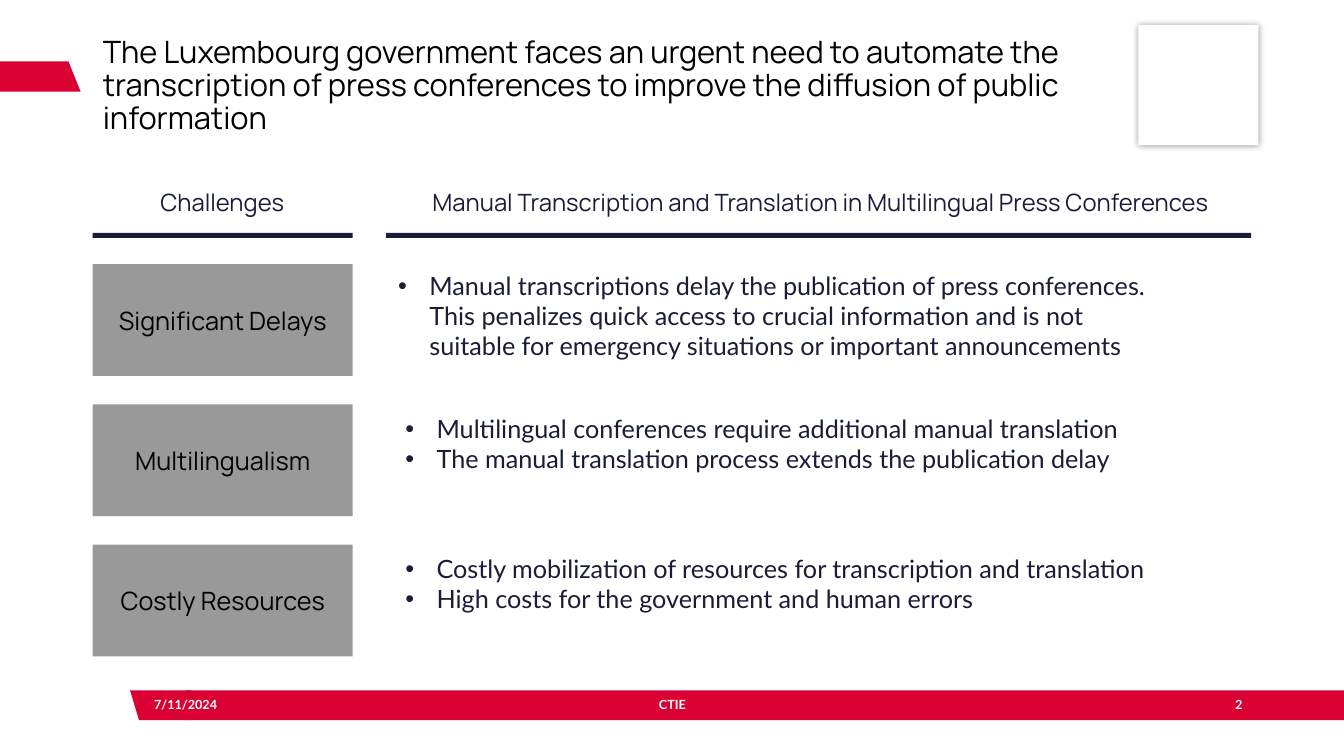
"""Build the slide on the challenges of transcribing press conferences."""
from dataclasses import dataclass

from lxml import etree
from pptx import Presentation, util as u
from pptx.dml.color import RGBColor
from pptx.enum import shapes, text
from pptx.oxml import ns

WIDTH, HEIGHT = u.Inches(13.33), u.Inches(7.5)
RED = RGBColor(0xDB, 0x00, 0x32)
NAVY = RGBColor(0x19, 0x1D, 0x38)
GREY = RGBColor(0x99, 0x99, 0x99)
BLACK = RGBColor(0x00, 0x00, 0x00)
WHITE = RGBColor(0xFF, 0xFF, 0xFF)
LEFT, CENTER, RIGHT = text.PP_ALIGN.LEFT, text.PP_ALIGN.CENTER, text.PP_ALIGN.RIGHT
MIDDLE, TOP = text.MSO_ANCHOR.MIDDLE, text.MSO_ANCHOR.TOP
CARD_TOP, CARD_STEP = 34.93, 18.55
RULE_TOP, HEADING_TOP, FOOTER_TOP = 30.8, 24.27, 90.53


@dataclass(frozen=True)
class Area:
    """Place on a grid of 100 columns by 100 rows."""
    left: float
    top: float
    width: float
    height: float


@dataclass(frozen=True)
class Style:
    """Look of a block of text."""
    font: str
    size: float
    color: RGBColor
    align: text.PP_ALIGN = LEFT
    anchor: text.MSO_ANCHOR = MIDDLE
    bold: bool = False
    line_spacing: float = 1.0


@dataclass(frozen=True)
class Challenge:
    """A named challenge and the bullets beside it."""
    name: str
    bullets: tuple[str, ...]
    area: Area


@dataclass(frozen=True)
class Label:
    """A line of text in its place."""
    wording: str
    area: Area
    style: Style


TITLE = Style("Manrope", 22, BLACK, line_spacing=0.9)
HEADING = Style("Manrope", 17, NAVY, CENTER, line_spacing=0.9)
CARD = Style("Manrope", 18, BLACK, CENTER)
BULLETS = Style("Lato", 18, NAVY, anchor=TOP)

CHALLENGES = (
    Challenge("Significant Delays", (
        "Manual transcriptions delay the publication of press conferences. This penalizes quick "
        "access to crucial information and is not suitable for emergency situations or important "
        "announcements",), Area(28.88, 35.07, 58.44, 17.47)),
    Challenge("Multilingualism", (
        "Multilingual conferences require additional manual translation",
        "The manual translation process extends the publication delay"),
        Area(29.41, 54, 58.44, 13.47)),
    Challenge("Costly Resources", (
        "Costly mobilization of resources for transcription and translation",
        "High costs for the government and human errors"), Area(29.41, 72.53, 58.44, 13.47)),
)
LABELS = (
    Label("Challenges", Area(3.75, HEADING_TOP, 25.58, 5.33), HEADING),
    Label("Manual Transcription and Translation in Multilingual Press Conferences",
          Area(23.4, HEADING_TOP, 75.32, 5.33), HEADING),
    Label("7/11/2024", Area(10.73, FOOTER_TOP, 10.88, 5.33), Style("Lato", 9, WHITE, bold=True)),
    Label("CTIE", Area(31.28, FOOTER_TOP, 37.5, 5.33), Style("Lato", 9, WHITE, CENTER, bold=True)),
    Label("2", Area(87.25, FOOTER_TOP, 5.93, 5.33), Style("Lato", 9, WHITE, RIGHT, bold=True)),
)
RULES = (Area(6.9, RULE_TOP, 19.35, 0.67), Area(28.73, RULE_TOP, 64.37, 0.67))
TITLE_TAB = ((5.1, 8.13), (0, 8.13), (0, 12.13), (6, 12.13))
FOOTER_TIP = ((10.35, 95.27), (14.25, 95.27), (14.25, 91.33), (9.68, 91.33))


def across(columns: float) -> int:
    """Return the length of some grid columns."""
    return round(WIDTH * columns / 100)


def down(rows: float) -> int:
    """Return the length of some grid rows."""
    return round(HEIGHT * rows / 100)


def bounds(area: Area) -> tuple[int, int, int, int]:
    """Return left, top, width and height of an area."""
    return across(area.left), down(area.top), across(area.width), down(area.height)


def place(shape, area: Area) -> None:
    """Move a shape to an area."""
    shape.left, shape.top, shape.width, shape.height = bounds(area)


def paint(shape, color: RGBColor) -> None:
    """Fill a shape flatly, without line or shadow."""
    shape.shadow.inherit = False
    shape.fill.solid()
    shape.fill.fore_color.rgb = color
    shape.line.fill.background()


def add_bullet(paragraph) -> None:
    """Give a paragraph a hanging bullet."""
    properties = paragraph._p.get_or_add_pPr()
    properties.set("marL", str(u.Inches(0.31)))
    properties.set("indent", str(-u.Inches(0.31)))
    etree.SubElement(properties, ns.qn("a:buFont"), typeface="Arial")
    etree.SubElement(properties, ns.qn("a:buChar"), char="•")


def write(shape, lines: tuple[str, ...], style: Style, bulleted: bool = False) -> None:
    """Write lines into a shape and format them."""
    frame = shape.text_frame
    frame.text = "\n".join(lines)
    frame.word_wrap = True
    frame.auto_size = text.MSO_AUTO_SIZE.NONE
    frame.vertical_anchor = style.anchor
    for paragraph in frame.paragraphs:
        if bulleted:
            add_bullet(paragraph)
        paragraph.alignment = style.align
        paragraph.line_spacing = style.line_spacing
        paragraph.space_before = u.Pt(0)
        for run in paragraph.runs:
            run.font.name = style.font
            run.font.size = u.Pt(style.size)
            run.font.bold = style.bold
            run.font.color.rgb = style.color


def add_block(slide, area: Area, color: RGBColor):
    """Add a plain rectangle."""
    shape = slide.shapes.add_shape(shapes.MSO_SHAPE.RECTANGLE, *bounds(area))
    paint(shape, color)
    return shape


def add_outline(slide, points: tuple[tuple[float, float], ...]) -> None:
    """Add a red shape through grid points."""
    start, *others = [(across(column), down(row)) for column, row in points]
    builder = slide.shapes.build_freeform(*start)
    builder.add_line_segments(others, close=True)
    paint(builder.convert_to_shape(), RED)


def add_soft_shadow(shape) -> None:
    """Put an even blurred shadow around a shape."""
    effects = shape._element.spPr.find(ns.qn("a:effectLst"))
    shadow = etree.SubElement(effects, ns.qn("a:outerShdw"), blurRad=str(u.Pt(5)), dist="0",
                              dir="0", algn="ctr", rotWithShape="0")
    color = etree.SubElement(shadow, ns.qn("a:srgbClr"), val=str(BLACK))
    etree.SubElement(color, ns.qn("a:alpha"), val="40000")


def main() -> None:
    """Build and save the presentation."""
    presentation = Presentation()
    presentation.slide_width, presentation.slide_height = WIDTH, HEIGHT
    slide = presentation.slides.add_slide(presentation.slide_layouts.get_by_name("Comparison"))
    title, *bodies = slide.placeholders

    add_outline(slide, TITLE_TAB)
    add_outline(slide, FOOTER_TIP)
    add_block(slide, Area(13.8, 91.33, 86.2, 3.94), RED)
    add_soft_shadow(add_block(slide, Area(84.7, 3.33, 8.93, 15.87), WHITE))

    place(title, Area(6.9, 7.73, 76.97, 7.47))
    write(title, ("The Luxembourg government faces an urgent need to automate the transcription "
                  "of press conferences to improve the diffusion of public information",), TITLE)
    for rule in RULES:
        add_block(slide, rule, NAVY)
    for index, (challenge, body) in enumerate(zip(CHALLENGES, bodies)):
        card = add_block(slide, Area(6.9, CARD_TOP + index * CARD_STEP, 19.35, 14.8), GREY)
        write(card, (challenge.name,), CARD)
        place(body, challenge.area)
        write(body, challenge.bullets, BULLETS, bulleted=True)
    for unused in bodies[len(CHALLENGES):]:
        unused._element.getparent().remove(unused._element)
    for label in LABELS:
        write(slide.shapes.add_textbox(*bounds(label.area)), (label.wording,), label.style)
    presentation.save("out.pptx")


if __name__ == "__main__":
    main()
